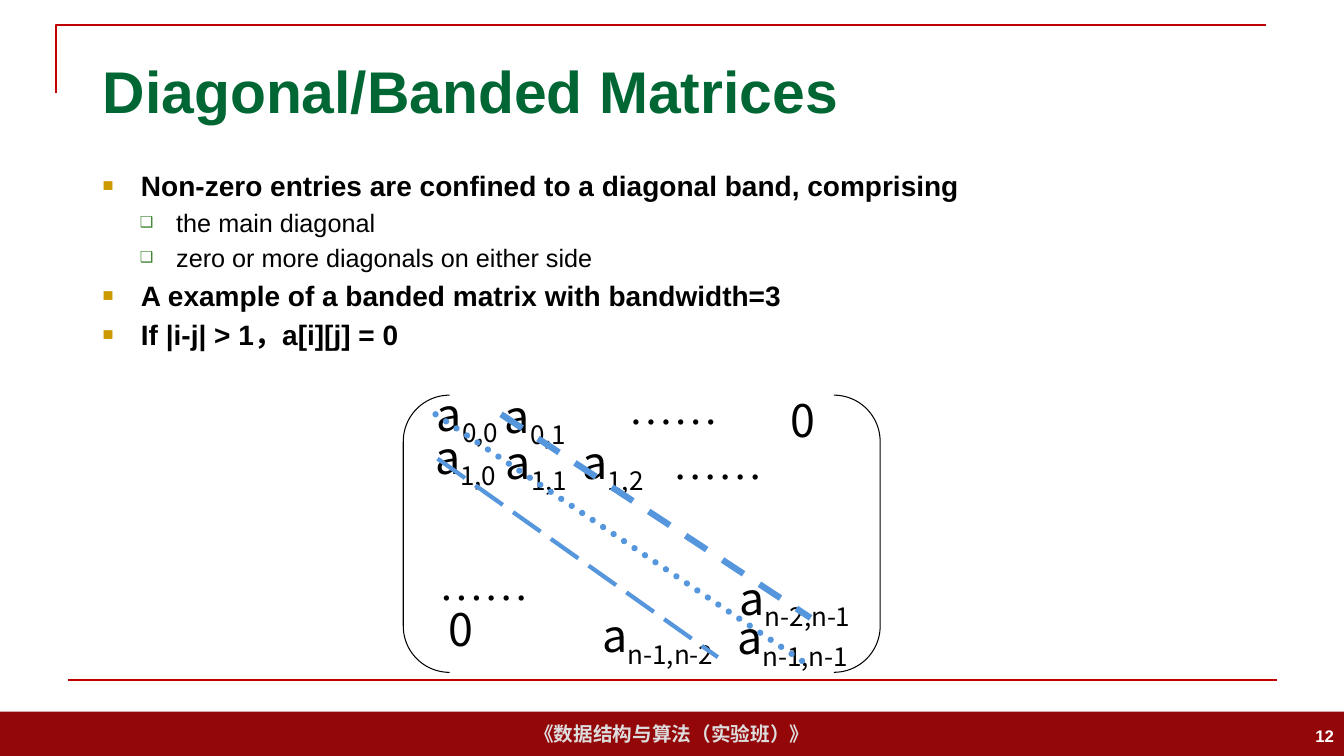
from dataclasses import dataclass

from lxml import etree
from pptx import Presentation
from pptx import util as u
from pptx.dml.color import RGBColor
from pptx.enum import dml, shapes, text
from pptx.oxml.ns import qn

PX = 9144  # EMU per px, 100 px to the inch
COLORS = {
    "red": "C00000", "footer": "940709", "footer_text": "DDDDDD", "title": "006633",
    "black": "000000", "white": "FFFFFF", "gold": "CC9900", "green": "3B812F",
    "blue": "5696DC",
}
SANS, MATRIX, DOTS = "Arial", "Noto Sans CJK SC", "Times New Roman"
CENTER, LEFT, RIGHT = text.PP_ALIGN.CENTER, text.PP_ALIGN.LEFT, text.PP_ALIGN.RIGHT


@dataclass
class Level:
    size: int
    bold: bool
    margin: int
    hang: int
    char: str
    color: str
    percent: int


@dataclass
class Entry:
    x: int
    y: int
    w: int
    base: str
    sub: str = ""
    font: str = MATRIX


@dataclass
class Line:
    x1: int
    y1: int
    x2: int
    y2: int
    color: str
    width: float
    dash: dml.MSO_LINE | None = None
    cap: str = "flat"


LEVELS = [
    Level(20, True, 38, 38, "■", "gold", 65),
    Level(18, False, 73, 36, "❑", "green", 60),
]
BULLETS = [
    (0, "Non-zero entries are confined to a diagonal band, comprising"),
    (1, "the main diagonal"),
    (1, "zero or more diagonals on either side"),
    (0, "A example of a banded matrix with bandwidth=3"),
    (0, "If |i-j| > 1，a[i][j] = 0"),
]
ENTRIES = [
    Entry(399, 384, 129, "a", "0,0"),
    Entry(485, 432, 94, "a", "1,1"),
    Entry(484, 386, 94, "a", "0,1"),
    Entry(415, 427, 94, "a", "1,0"),
    Entry(577, 604, 151, "a", "n-1,n-2"),
    Entry(713, 606, 146, "a", "n-1,n-1"),
    Entry(699, 567, 179, "a", "n-2,n-1"),
    Entry(561, 432, 94, "a", "1,2"),
]
DIAGONALS = [
    Line(432, 411, 802, 660, "blue", 4.5, dml.MSO_LINE.ROUND_DOT, "rnd"),
    Line(434, 455, 712, 652, "blue", 3, dml.MSO_LINE.LONG_DASH),
    Line(497, 411, 804, 613, "blue", 4.5, dml.MSO_LINE.DASH),
]
FILLERS = [
    Entry(770, 395, 52, "0"),
    Entry(431, 602, 52, "0"),
    Entry(600, 382, 136, "……", font=DOTS),
    Entry(644, 437, 136, "……", font=DOTS),
    Entry(412, 557, 136, "……", font=DOTS),
]


def rgb(name: str) -> RGBColor:
    return RGBColor.from_string(COLORS[name])


def px(*lengths: int) -> list[int]:
    return [n * PX for n in lengths]


def add_run(p, words: str, size: int, color: str, bold: bool = False, font: str = SANS):
    r = p.add_run()
    r.text = words
    r.font.size, r.font.bold, r.font.name = u.Pt(size), bold, font
    r.font.color.rgb = rgb(color)
    return r


def add_box(s, x: int, y: int, w: int, h: int):
    tf = s.shapes.add_textbox(*px(x, y, w, h)).text_frame
    tf.word_wrap = True
    return tf


def add_tag(parent, tag: str, **attrs: str):
    return etree.SubElement(parent, qn(tag), attrs)


def indent(p, margin: int, hang: int, before: int) -> None:
    """Set a hanging indent and the space before as a percentage."""
    pPr = p._p.get_or_add_pPr()
    pPr.set("marL", str(margin * PX))
    pPr.set("indent", str(-hang * PX))
    add_tag(add_tag(pPr, "a:spcBef"), "a:spcPct", val=str(before * 1000))


def add_bullet(p, level: Level) -> None:
    indent(p, level.margin, level.hang, 20)
    pPr = p._p.get_or_add_pPr()
    add_tag(add_tag(pPr, "a:buClr"), "a:srgbClr", val=COLORS[level.color])
    add_tag(pPr, "a:buSzPct", val=str(level.percent * 1000))
    add_tag(pPr, "a:buFont", typeface=SANS)
    add_tag(pPr, "a:buChar", char=level.char)


def add_entry(s, e: Entry) -> None:
    tf = add_box(s, e.x, e.y, e.w, 53)
    tf.auto_size = text.MSO_AUTO_SIZE.SHAPE_TO_FIT_TEXT
    p = tf.paragraphs[0]
    p.alignment, p.line_spacing = CENTER, 0.8
    indent(p, 38, 38, 50)
    add_run(p, e.base, 32, "black", font=e.font)
    if e.sub:
        r = add_run(p, e.sub, 32, "black", font=e.font)
        r.font._element.set("baseline", "-25000")


def add_line(s, line: Line) -> None:
    c = s.shapes.add_connector(
        shapes.MSO_CONNECTOR.STRAIGHT, *px(line.x1, line.y1, line.x2, line.y2))
    c.line.color.rgb, c.line.width = rgb(line.color), u.Pt(line.width)
    if line.dash is not None:
        c.line.dash_style = line.dash
    c.line._get_or_add_ln().set("cap", line.cap)
    add_tag(c._element.spPr, "a:effectLst")


def outline(sp, color: str, width: float) -> None:
    sp.shadow.inherit = False
    sp.fill.background()
    sp.line.color.rgb, sp.line.width = rgb(color), u.Pt(width)


def add_frame(s) -> None:
    # Footer band
    sp = s.shapes.add_shape(shapes.MSO_SHAPE.RECTANGLE, *px(0, 706, 1333, 44))
    sp.shadow.inherit = False
    sp.fill.solid()
    sp.fill.fore_color.rgb = rgb("footer")
    sp.line.fill.background()
    tf = sp.text_frame
    tf.word_wrap, tf.vertical_anchor = False, text.MSO_ANCHOR.MIDDLE
    p = tf.paragraphs[0]
    p.alignment = CENTER
    add_run(p, "《数据结构与算法（实验班）》", 14, "footer_text", True)
    # Corner rule and bottom rule
    corner = s.shapes.build_freeform(56, 92, scale=PX)
    corner.add_line_segments([(56, 25), (1256, 25)], close=False)
    outline(corner.convert_to_shape(), "red", 1.5)
    add_line(s, Line(67, 675, 1267, 675, "red", 1.5))
    # Page number
    tf = add_box(s, 1033, 710, 300, 40)
    tf.vertical_anchor = text.MSO_ANCHOR.MIDDLE
    p = tf.paragraphs[0]
    p.alignment = RIGHT
    add_run(p, "12", 12, "white", True)


def add_title(s) -> None:
    sp = s.shapes.title
    sp.left, sp.top, sp.width, sp.height = px(92, 40, 1150, 99)
    tf = sp.text_frame
    tf.vertical_anchor = text.MSO_ANCHOR.MIDDLE
    p = tf.paragraphs[0]
    p.alignment = LEFT
    add_run(p, "Diagonal/Banded Matrices", 42, "title", True)


def add_body(s) -> None:
    tf = add_box(s, 92, 162, 1150, 515)
    for i, (depth, words) in enumerate(BULLETS):
        p = tf.add_paragraph() if i else tf.paragraphs[0]
        p.level, level = depth, LEVELS[depth]
        add_bullet(p, level)
        add_run(p, words, level.size, "black", level.bold)


def add_matrix(s) -> None:
    sp = s.shapes.add_shape(shapes.MSO_SHAPE.DOUBLE_BRACKET, *px(400, 392, 473, 275))
    sp.adjustments[0] = 0.167
    outline(sp, "black", 0.75)
    for e in ENTRIES:
        add_entry(s, e)
    for line in DIAGONALS:
        add_line(s, line)
    for e in FILLERS:
        add_entry(s, e)


def main() -> None:
    prs = Presentation()
    prs.slide_width, prs.slide_height = px(1333, 750)
    s = prs.slides.add_slide(prs.slide_layouts[5])
    add_frame(s)
    add_title(s)
    add_body(s)
    add_matrix(s)
    prs.save("out.pptx")


if __name__ == "__main__":
    main()
